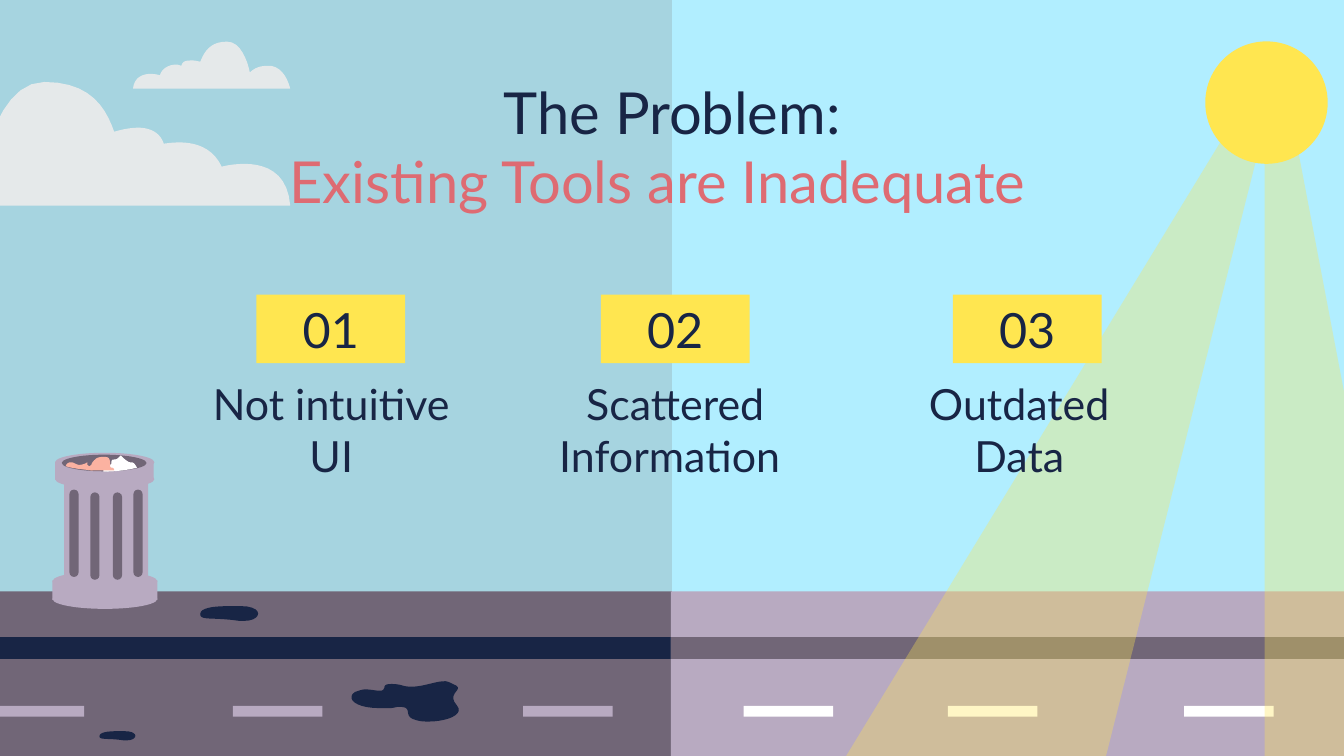
from lxml import etree
from pptx import Presentation
from pptx import util as u
from pptx.dml import color
from pptx.enum import shapes, text
from pptx.oxml import ns

HUES = {
    "haze": "A6D4E0", "sky": "B1EEFF", "navy": "182545", "grey": "716677",
    "mauve": "B8AAC1", "sun": "FFE650", "white": "FFFFFF", "pink": "FBB2A1",
    "cloud": "E5E9EA", "red": "DE6B72",
}
RECT = shapes.MSO_SHAPE.RECTANGLE
OVAL = shapes.MSO_SHAPE.OVAL
PILL = shapes.MSO_SHAPE.ROUNDED_RECTANGLE

PUDDLE = [
    (125.3, 324.7), (118.8, 324.7, 107.3, 324.7, 107.3, 329),
    (107.3, 332.6, 113.8, 330.5, 128.2, 332.6), (128.9, 332.6, 130.3, 332.6, 131, 332.6),
    (140.4, 332.6, 141.8, 324.7, 128.9, 324.7),
]
SPILL = [
    (238.3, 365), (233.3, 365, 226.8, 367.9, 221, 367.9),
    (218.9, 367.9, 217.4, 367.9, 215.3, 367.2), (215.3, 367.2, 213.1, 366.5, 210.2, 366.5),
    (208.1, 366.5, 205.9, 366.5, 205.9, 368.6), (205.2, 370.1, 204.5, 370.1, 203, 370.1),
    (201.6, 370.1, 198.7, 369.4, 195.8, 369.4), (193.7, 369.4, 192.2, 370.1, 190.1, 370.8),
    (185, 374.4, 190.8, 379.4, 203, 379.4), (205.2, 379.4, 206.6, 379.4, 208.8, 379.4),
    (211, 379.4, 212.4, 378.7, 213.8, 378.7), (222.5, 378.7, 214.6, 383.8, 223.2, 385.9),
    (225.4, 386.6, 227.5, 386.6, 229.7, 386.6), (239, 386.6, 249.1, 383, 244.8, 378),
    (238.3, 370.8, 250.6, 369.4, 242.6, 366.5), (241.2, 365.8, 239.8, 365, 238.3, 365),
]
PAPER = [
    (64.8, 244.1), (64.1, 244.1, 63.4, 246.2, 61.2, 246.2),
    (58.3, 246.2, 61.2, 249.1, 58.3, 249.1), (54.7, 249.1, 55.4, 252.7, 55.4, 252.7),
    (65.5, 252.7, 73.4, 250.6, 73.4, 250.6), (73.4, 250.6, 72, 247.7, 70.6, 247.7),
    (69.1, 247.7, 69.1, 247.7, 67, 246.2), (65.5, 244.8),
]
PEEL = [
    (38.2, 247.7), (37.4, 247.7), (35.3, 248.4, 35.3, 249.8, 35.3, 249.8),
    (39.6, 251.3, 49, 252, 49.7, 252), (49, 250.6), (46.8, 249.1), (46.8, 247.7),
    (46.1, 248.4, 43.9, 249.1, 42.5, 249.1), (41, 249.1, 39.6, 247.7, 38.2, 247.7),
]
SCRAP = [
    (55.4, 244.8), (54.7, 244.8, 53.3, 244.8, 51.8, 245.5),
    (49, 247.7, 49, 249.1, 49, 249.1), (49, 249.1, 43.9, 252, 49, 252), (61.2, 252),
    (61.2, 252, 61.2, 250.6, 59.8, 250.6), (58.3, 250.6, 59.8, 247.7, 58.3, 245.5),
    (57.6, 244.8, 56.2, 244.8, 55.4, 244.8),
]
BIG = [
    (23.8, 43.9), (-0.7, 43.9, -8.6, 87.1, -8.6, 87.1),
    (-8.6, 87.1, -15.1, 76.3, -31, 76.3), (-33.1, 76.3, -35.3, 76.3, -37.4, 77),
    (-58.3, 81.4, -64.8, 110.2, -64.8, 110.2), (155.5, 110.2),
    (154.1, 91.4, 141.1, 87.8, 131, 87.8), (123.8, 87.8, 118.8, 89.3, 118.8, 89.3),
    (113.8, 78.5, 103.7, 76.3, 96.5, 76.3), (91.4, 76.3, 87.8, 77, 87.8, 77),
    (85.7, 70.6, 79.9, 68.4, 74.2, 68.4), (67.7, 68.4, 61.2, 70.6, 61.2, 70.6),
    (56.9, 58.3, 49, 43.9, 23.8, 43.9),
]
SMALL = [
    (121.7, 22.3), (131, 22.3, 133.9, 38.9, 133.9, 38.9),
    (133.9, 38.9, 136.8, 35.3, 142.6, 35.3), (143.3, 35.3, 144, 35.3, 145.4, 35.3),
    (153.4, 36.7, 155.5, 47.5, 155.5, 47.5), (71.3, 47.5),
    (72, 41, 77, 39.6, 80.6, 39.6), (83.5, 39.6, 85.7, 40.3, 85.7, 40.3),
    (87.1, 36, 91.4, 34.6, 94.3, 34.6), (95.8, 34.6, 97.2, 35.3, 97.2, 35.3),
    (97.9, 32.4, 100.1, 32.4, 103, 32.4), (105.1, 32.4, 107.3, 33.1, 107.3, 33.1),
    (109.4, 28.1, 112.3, 22.3, 121.7, 22.3),
]
RAYS = [
    [(663.8, 59.8), (451.4, 408.2), (451.4, 433.4), (585.4, 433.4), (679.7, 59)],
    [(688.3, 43.2), (756.7, 402.5), (756.7, 433.4), (677.5, 433.4), (677.5, 43.2)],
]


def flatten(parts, steps=10):
    dots = [parts[0]]
    for part in parts[1:]:
        if len(part) == 2:
            dots.append(part)
            continue
        pts = [dots[-1], part[:2], part[2:4], part[4:]]
        for i in range(1, steps + 1):
            t = i / steps
            mix = ((1 - t) ** 3, 3 * t * (1 - t) ** 2, 3 * t * t * (1 - t), t ** 3)
            dots.append(tuple(sum(m * p[a] for m, p in zip(mix, pts)) for a in (0, 1)))
    return dots


class Scene:
    font = "Lato"

    def __init__(self, slide):
        self.slide = slide
        slide.background.fill.solid()
        slide.background.fill.fore_color.rgb = self.hue("haze")

    def hue(self, name):
        return color.RGBColor.from_string(HUES[name])

    def paint(self, shape, hue, alpha=None):
        shape.shadow.inherit = False
        shape.fill.solid()
        shape.fill.fore_color.rgb = self.hue(hue)
        shape.line.fill.background()
        if alpha:
            tint = shape.element.spPr.find(".//" + ns.qn("a:srgbClr"))
            etree.SubElement(tint, ns.qn("a:alpha")).set("val", str(alpha * 1000))
        return shape

    def block(self, x, y, w, h, hue, kind=RECT):
        shape = self.slide.shapes.add_shape(kind, u.Pt(x), u.Pt(y), u.Pt(w), u.Pt(h))
        if kind == PILL:
            shape.adjustments[0] = 0.5
        return self.paint(shape, hue)

    def outline(self, parts, hue, alpha=None, zoom=1, dx=0, dy=0):
        dots = [(u.Pt(x * zoom + dx), u.Pt(y * zoom + dy)) for x, y in flatten(parts)]
        pen = self.slide.shapes.build_freeform(*dots[0], scale=1.0)
        pen.add_line_segments(dots[1:], close=True)
        return self.paint(pen.convert_to_shape(), hue, alpha)

    def letter(self, shape, words, size, hues=("navy",), anchor=text.MSO_ANCHOR.TOP):
        frame = shape.text_frame
        frame.word_wrap = True
        frame.vertical_anchor = anchor
        frame.margin_left = frame.margin_right = u.Pt(7.2)
        frame.margin_top = frame.margin_bottom = u.Pt(7.2)
        frame.text = words
        for para, hue in zip(frame.paragraphs, hues):
            para.alignment = text.PP_ALIGN.CENTER
            for run in para.runs:
                run.font.name = self.font
                run.font.size = u.Pt(size)
                run.font.color.rgb = self.hue(hue)
        return frame

    def label(self, x, y, w, h, words, size, hues=("navy",)):
        box = self.slide.shapes.add_textbox(u.Pt(x), u.Pt(y), u.Pt(w), u.Pt(h))
        return self.letter(box, words, size, hues)

    def badge(self, x, words):
        shape = self.block(x, 157.9, 79.7, 36.7, "sun")
        self.letter(shape, words, 26, anchor=text.MSO_ANCHOR.MIDDLE)

    def road(self, x, w, base, band, dash, marks):
        self.block(x, 316.8, w, 91, base)
        self.block(x, 341.3, w, 11.7, band)
        for mark in marks:
            self.block(mark, 378.2, 48, 5.8, dash)

    def can(self):
        for x, y, w, h, kind in [
            (28.1, 311, 56.2, 10.4, RECT), (28.1, 306, 56.2, 10.8, OVAL),
            (34.4, 248.4, 45, 62, RECT), (29.5, 242.6, 53.2, 10.2, OVAL),
            (29.5, 247.3, 52.8, 9.7, RECT), (29.5, 251.6, 53.2, 10.2, OVAL),
            (28.1, 315.6, 56.2, 10.6, OVAL),
        ]:
            self.block(x, y, w, h, "mauve", kind)
        for x, y in [(37.2, 262.3), (48.4, 263.8), (60.5, 263.8), (71.5, 262.3)]:
            self.block(x, y, 4.9, 46.8, "grey", PILL)
        self.block(33.1, 243.6, 45.4, 8.9, "grey", OVAL)
        for parts, hue in [(PAPER, "white"), (PEEL, "pink"), (SCRAP, "pink")]:
            self.outline(parts, hue)


def main():
    deck = Presentation()
    deck.slide_width, deck.slide_height = u.Pt(720), u.Pt(405)
    scene = Scene(deck.slides.add_slide(deck.slide_layouts[6]))

    scene.block(360, -1.4, 361.4, 408, "sky")
    scene.road(-2.9, 362.9, "grey", "navy", "mauve", (-2.9, 124.7, 280.2))
    scene.outline(PUDDLE, "navy")
    scene.outline(PUDDLE, "navy", zoom=0.62, dx=-13.2, dy=190.4)
    scene.outline(SPILL, "navy")
    scene.road(359.4, 363.5, "mauve", "grey", "white", (398.4, 507.8, 634.3))
    for ray in RAYS:
        scene.outline(ray, "sun", alpha=33)
    scene.block(645.7, 22.2, 65.6, 65.6, "sun", OVAL)
    scene.can()
    scene.outline(BIG, "cloud")
    scene.outline(SMALL, "cloud")

    title = scene.label(56.2, 33.8, 607.7, 36.7,
                        "The Problem:\nExisting Tools are Inadequate", 31, ("navy", "red"))
    title.paragraphs[1]._p.get_or_add_pPr().set("marR", str(u.Pt(16)))
    points = [("Not intuitive UI", 137.4), ("Scattered Information ", 321.9),
              ("Outdated Data", 510.5)]
    for i, (words, left) in enumerate(points):
        scene.label(103 + 184.3 * i, 195.1, 149, 36.7, words, 23)
        scene.badge(left, f"{i + 1:02}")
    deck.save("out.pptx")


if __name__ == "__main__":
    main()
